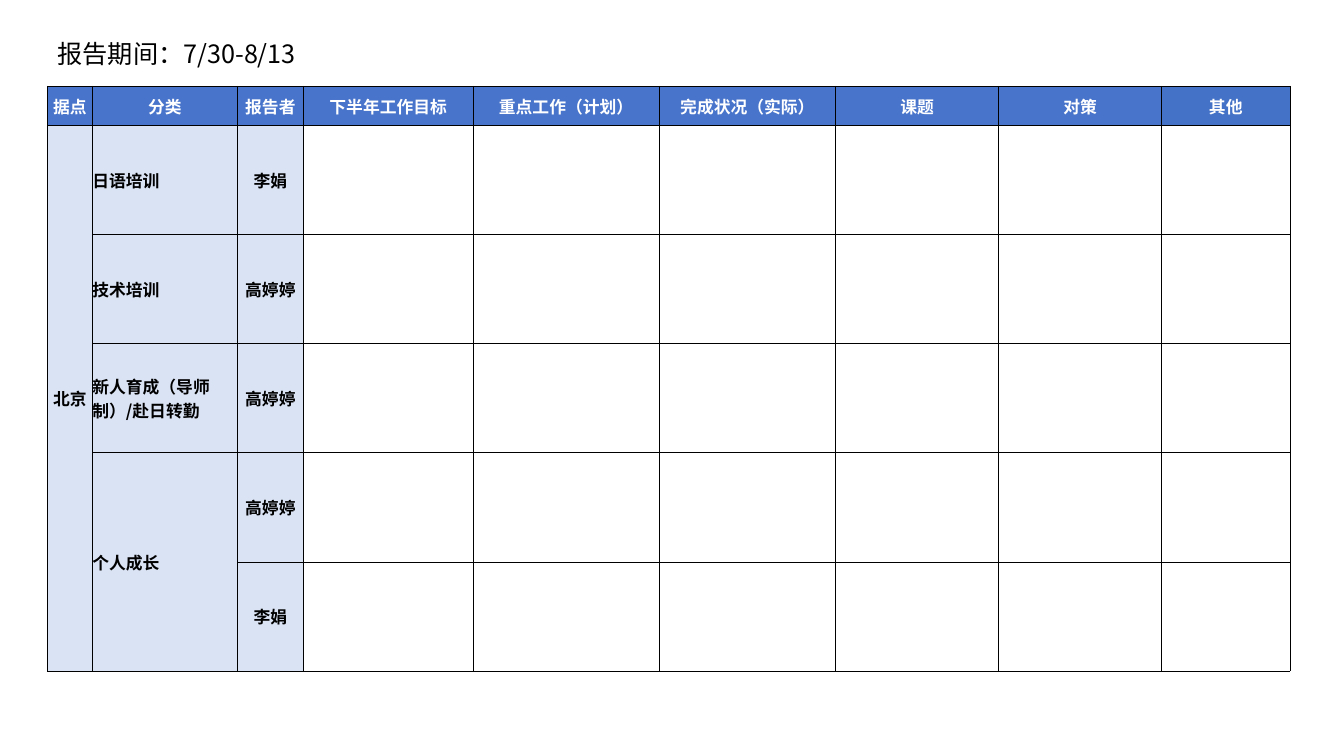
from lxml import etree
from pptx import Presentation
from pptx.dml.color import RGBColor
from pptx.enum.text import MSO_ANCHOR, MSO_AUTO_SIZE, PP_ALIGN
from pptx.oxml.ns import qn
from pptx.util import Pt

MIDDLE = MSO_ANCHOR.MIDDLE
GROW = MSO_AUTO_SIZE.SHAPE_TO_FIT_TEXT
LEFT, CENTER = PP_ALIGN.LEFT, PP_ALIGN.CENTER

FONT = "Noto Sans CJK SC"
COLORS = {
    "header": "4874CB",
    "last_header": "4472C6",
    "label": "DAE3F4",
    "white": "FFFFFF",
    "black": "000000",
}
HEADERS = ["据点", "分类", "报告者", "下半年工作目标", "重点工作（计划）",
           "完成状况（实际）", "课题", "对策", "其他"]
LABELS = [
    ["北京", "日语培训", "李娟"],
    ["", "技术培训", "高婷婷"],
    ["", "新人育成（导师制）/赴日转勤", "高婷婷"],
    ["", "个人成长", "高婷婷"],
    ["", "", "李娟"],
]
COLUMN_WIDTHS = [32, 103.6, 47.2, 121.2, 133, 126, 116.5, 116.5, 91.5]
HEADER_HEIGHT = 28
MERGES = [((1, 0), (5, 0)), ((4, 1), (5, 1))]


def set_attributes(target, values):
    for name, value in values.items():
        setattr(target, name, value)


def write_text(paragraph, text, size, color, bold=False, alignment=LEFT):
    paragraph.alignment = alignment
    run = paragraph.add_run()
    run.text = text
    set_attributes(run.font, {"name": FONT, "size": Pt(size), "bold": bold})
    run.font.color.rgb = RGBColor.from_string(COLORS[color])
    east_asian = etree.SubElement(run.font._element, qn("a:ea"))
    east_asian.set("typeface", FONT)


def add_borders(cell):
    properties = cell._tc.get_or_add_tcPr()
    for side in ("a:lnL", "a:lnR", "a:lnT", "a:lnB"):
        line = etree.SubElement(properties, qn(side), w=str(Pt(0.5)))
        fill = etree.SubElement(line, qn("a:solidFill"))
        etree.SubElement(fill, qn("a:srgbClr"), val=COLORS["black"])


def format_cell(cell, text, fill, text_color, alignment):
    set_attributes(cell, {
        "margin_left": 0, "margin_right": 0, "margin_top": 0,
        "margin_bottom": 0, "vertical_anchor": MIDDLE,
    })
    add_borders(cell)
    if fill:
        cell.fill.solid()
        cell.fill.fore_color.rgb = RGBColor.from_string(COLORS[fill])
    else:
        cell.fill.background()
    if text:
        write_text(cell.text_frame.paragraphs[0], text, 12, text_color,
                   bold=True, alignment=alignment)


def add_period(slide, left, top, width, height):
    shape = slide.shapes.add_textbox(Pt(left), Pt(top), Pt(width), Pt(height))
    set_attributes(shape.text_frame, {"word_wrap": True, "auto_size": GROW})
    write_text(shape.text_frame.paragraphs[0], "报告期间：7/30-8/13", 18, "black")


def add_report_table(slide, left, top, width, height):
    row_count, column_count = len(LABELS) + 1, len(HEADERS)
    table = slide.shapes.add_table(row_count, column_count, Pt(left), Pt(top),
                                   Pt(width), Pt(height)).table
    set_attributes(table, {"first_row": False, "horz_banding": False})
    scale = width / sum(COLUMN_WIDTHS)
    for column, column_width in zip(table.columns, COLUMN_WIDTHS):
        column.width = Pt(column_width * scale)
    for row in table.rows:
        row.height = Pt((height - HEADER_HEIGHT) / len(LABELS))
    table.rows[0].height = Pt(HEADER_HEIGHT)

    for index, text in enumerate(HEADERS):
        fill = "last_header" if index == column_count - 1 else "header"
        format_cell(table.cell(0, index), text, fill, "white", CENTER)
    for row_index, labels in enumerate(LABELS, 1):
        for index in range(column_count):
            is_label = index < len(labels)
            format_cell(table.cell(row_index, index),
                        labels[index] if is_label else "",
                        "label" if is_label else None, "black",
                        LEFT if index == 1 else CENTER)
    for first, last in MERGES:
        table.cell(*first).merge(table.cell(*last))


def main():
    presentation = Presentation()
    set_attributes(presentation, {"slide_width": Pt(960), "slide_height": Pt(540)})
    slide = presentation.slides.add_slide(presentation.slide_layouts[6])
    add_report_table(slide, 34, 61.5, 887.5, 418)
    add_period(slide, 34, 24, 480, 29)
    presentation.save("out.pptx")


if __name__ == "__main__":
    main()
